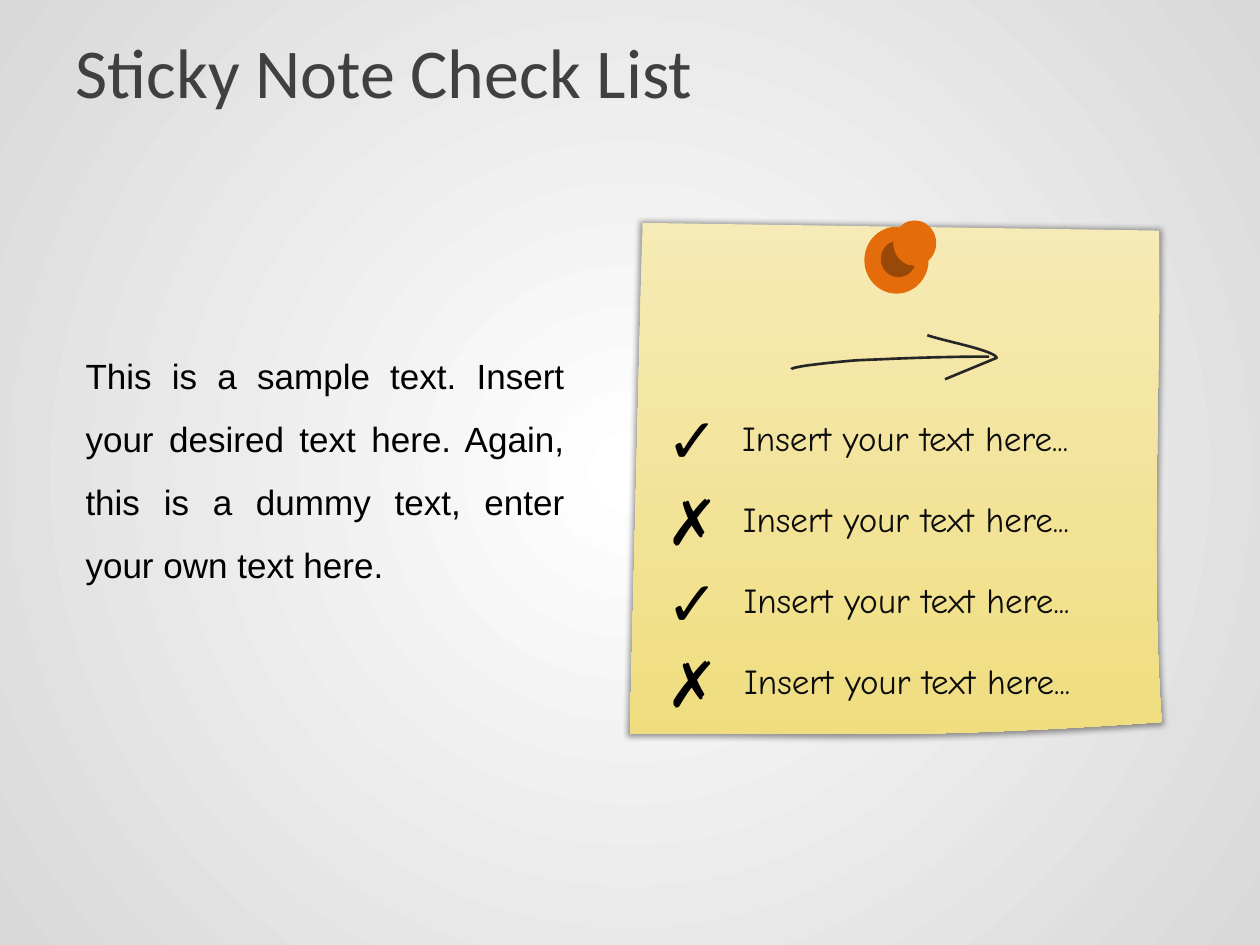
from lxml.etree import SubElement
from pptx import Presentation
from pptx.dml.color import RGBColor
from pptx.enum.shapes import MSO_SHAPE as Shape
from pptx.enum.text import MSO_ANCHOR as Anchor, MSO_AUTO_SIZE as AutoSize, PP_ALIGN as Align
from pptx.oxml.ns import qn
from pptx.util import Pt

COLORS = {
    "title": "404040", "text": "000000", "note_text": "0D0D0D", "ink": "262626",
    "center": "FFFFFF", "edge": "D9D9D9", "note_top": "F6EBB6", "note_bottom": "F0DD80",
    "pin": "E46C0A", "pin_shade": "984807", "shadow": "000000",
}
TITLE = "Sticky Note Check List"
BODY = ("This is a sample text. Insert your desired text here. "
        "Again, this is a dummy text, enter your own text here.")
CHECKLIST = [
    ("✓", "Insert your text here..."),
    ("✗", "Insert your text here..."),
    ("✓", "Insert your text here..."),
    ("✗", "Insert your text here..."),
]
# Each outline is a start point, then segments of one point (line) or three (curve).
NOTE = [(367.2, 127.4), [(662.4, 131.8)],
        [(663.1, 226.1), (657.4, 326.2), (663.8, 412.6)],
        [(513.4, 423.4), (461.5, 418.3), (360, 419)]]
ARROW_SHAFT = [(452.2, 211), [(452.9, 209.5), (471.6, 207.4), (489.6, 205.9)],
               [(506.9, 205.2), (534.2, 203.8), (565.2, 203.8)]]
ARROW_HEAD = [(540, 216.7), [(569.5, 204.5)],
              [(568.8, 200.2), (537.1, 194.4), (529.9, 191.5)]]
PIN = [("pin", (493.9, 129.6, 36.7, 38.2)),
       ("pin_shade", (503.3, 137.5, 20.2, 20.9)),
       ("pin", (510.5, 126, 24.5, 25.9))]
ROW_PITCH = 46.4
CURVE_STEPS = 24


def rgb(name):
    return RGBColor.from_string(COLORS[name])


def set_gradient(fill, first, last):
    fill.gradient()
    for stop, name, position in zip(fill.gradient_stops, (first, last), (0, 1)):
        stop.color.rgb = rgb(name)
        stop.position = position


def place(shape, area):
    for name, value in zip(("left", "top", "width", "height"), area):
        setattr(shape, name, Pt(value))


def write(box, text, font, frame=None, para=None):
    """Fill a box with one run, applying font, frame and paragraph values."""
    text_frame = box.text_frame
    paragraph = text_frame.paragraphs[0]
    span = paragraph.add_run()
    span.text = text
    name, size, color = font
    span.font.color.rgb = rgb(color)
    formats = [
        (text_frame, {"word_wrap": True, **(frame or {})}),
        (paragraph, para or {}),
        (span.font, {"name": name, "size": Pt(size)}),
    ]
    for target, values in formats:
        for key, value in values.items():
            setattr(target, key, value)


def add_text(page, area, *content):
    box = page.shapes.add_textbox(*map(Pt, area))
    write(box, *content)


def trace(outline):
    """Return the outline's points, with its cubic curves sampled evenly."""
    points = [outline[0]]
    for segment in outline[1:]:
        if len(segment) == 1:
            points += segment
            continue
        corners = [points[-1], *segment]
        for step in range(1, CURVE_STEPS + 1):
            t = step / CURVE_STEPS
            weights = ((1 - t) ** 3, 3 * t * (1 - t) ** 2, 3 * t ** 2 * (1 - t), t ** 3)
            points.append(tuple(sum(w * c[axis] for w, c in zip(weights, corners))
                                for axis in (0, 1)))
    return points


def add_outline(page, outline, close):
    start, *rest = [(Pt(x), Pt(y)) for x, y in trace(outline)]
    builder = page.shapes.build_freeform(*start)
    builder.add_line_segments(rest, close=close)
    shape = builder.convert_to_shape()
    shape.shadow.inherit = False
    return shape


def add_background(page):
    set_gradient(page.background.fill, "center", "edge")
    gradient = page.element.find(".//" + qn("a:gradFill"))
    gradient.remove(gradient.find(qn("a:lin")))
    radial = SubElement(gradient, qn("a:path"), path="circle")
    SubElement(radial, qn("a:fillToRect"), dict.fromkeys("ltrb", "50000"))


def add_note(page):
    note = add_outline(page, NOTE, True)
    set_gradient(note.fill, "note_top", "note_bottom")
    note.fill.gradient_angle = 270
    note.line.fill.background()
    effects = note.element.spPr.find(qn("a:effectLst"))
    shadow = SubElement(effects, qn("a:outerShdw"), blurRad=str(Pt(3)), dist=str(Pt(1)),
                        dir="5400000", sx="101000", sy="101000", algn="ctr",
                        rotWithShape="0")
    color = SubElement(shadow, qn("a:srgbClr"), val=COLORS["shadow"])
    SubElement(color, qn("a:alpha"), val="40000")


def add_arrow(page):
    for outline in (ARROW_SHAFT, ARROW_HEAD):
        stroke = add_outline(page, outline, False)
        stroke.fill.background()
        stroke.line.color.rgb = rgb("ink")
        stroke.line.width = Pt(1.5)


def add_pin(page):
    for color, area in PIN:
        disc = page.shapes.add_shape(Shape.OVAL, *map(Pt, area))
        disc.shadow.inherit = False
        disc.fill.solid()
        disc.fill.fore_color.rgb = rgb(color)
        disc.line.fill.background()


def add_checklist(page):
    frame = {"vertical_anchor": Anchor.MIDDLE, "auto_size": AutoSize.SHAPE_TO_FIT_TEXT}
    for row, (mark, text) in enumerate(CHECKLIST):
        offset = row * ROW_PITCH
        add_text(page, (417 + 0.4 * row, 234 + offset, 248.4, 31.7), text,
                 ("Comic Neue", 20, "note_text"), frame)
        add_text(page, (360, 225.2 + offset, 72, 51), mark,
                 ("Calibri", 36, "text"), frame, {"alignment": Align.CENTER})


def main():
    deck = Presentation()
    deck.slide_width, deck.slide_height = Pt(720), Pt(540)
    page = deck.slides.add_slide(deck.slide_layouts[5])
    add_background(page)
    place(page.shapes.title, (36, 12.2, 648, 56.2))
    write(page.shapes.title, TITLE, ("Calibri", 40, "title"),
          {"vertical_anchor": Anchor.MIDDLE}, {"alignment": Align.LEFT})
    add_note(page)
    add_arrow(page)
    add_pin(page)
    add_checklist(page)
    add_text(page, (41.8, 190.8, 288, 179.3), BODY, ("Arial", 20, "text"),
             {"margin_top": 0, "margin_bottom": 0},
             {"alignment": Align.JUSTIFY, "line_spacing": 1.5})
    deck.save("out.pptx")


if __name__ == "__main__":
    main()
